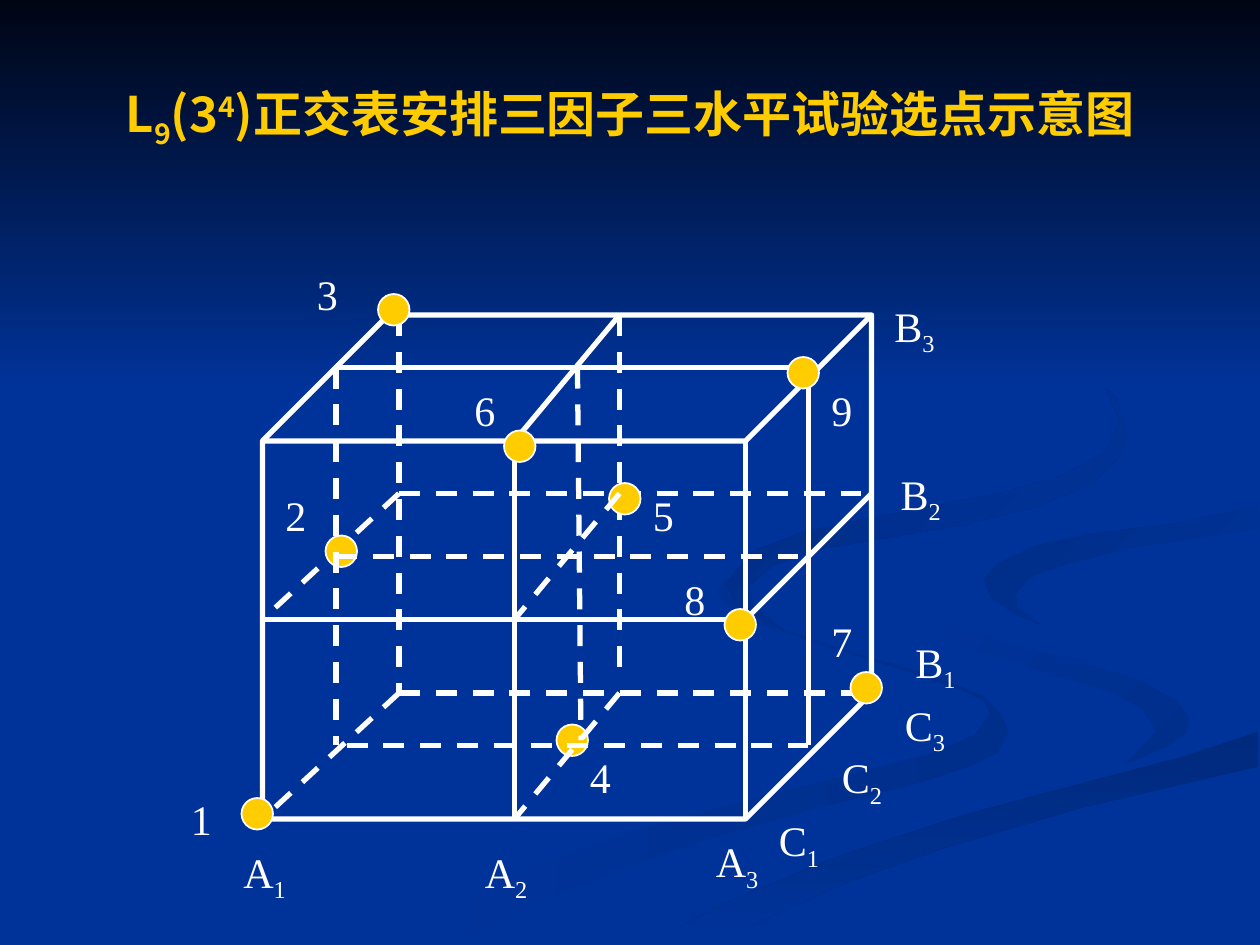
from dataclasses import dataclass

from lxml import etree
from pptx import Presentation
from pptx.dml.color import RGBColor
from pptx.enum.dml import MSO_LINE
from pptx.enum.shapes import MSO_CONNECTOR, MSO_SHAPE
from pptx.enum.text import MSO_ANCHOR, MSO_AUTO_SIZE, PP_ALIGN
from pptx.oxml.ns import qn
from pptx.util import Pt

STRAIGHT = MSO_CONNECTOR.STRAIGHT
CUBE, OVAL = MSO_SHAPE.CUBE, MSO_SHAPE.OVAL
DASH = MSO_LINE.DASH
MIDDLE, CENTER, LEFT = MSO_ANCHOR.MIDDLE, PP_ALIGN.CENTER, PP_ALIGN.LEFT
GROW, FIXED = MSO_AUTO_SIZE.SHAPE_TO_FIT_TEXT, MSO_AUTO_SIZE.NONE


@dataclass(frozen=True)
class Theme:
    """Colours, fonts and sizes of the slide."""
    ground: str = "003399"
    night: str = "000514"
    gold: str = "FFCC00"
    white: str = "FFFFFF"
    title_font: str = "Noto Sans CJK SC"
    label_font: str = "Times New Roman"
    title_size: int = 28
    label_size: int = 24
    edge: int = 3
    outline: int = 1
    dot: int = 18


THEME = Theme()

SKY = [(0, 0), (0, 222), (720, 222), (720, 0)]
LOWER_SWIRL = [
    (562, 398), (536, 387), (491, 374), (451, 361), (428, 349), (417, 341), (414, 330),
    (410, 338), (415, 346), (433, 356), (471, 369), (514, 382), (549, 394), (562, 400),
    (566, 408), (557, 420), (532, 431), (492, 441), (417, 460), (359, 476), (300, 497),
    (243, 523), (216, 539), (260, 539), (310, 514), (359, 495), (406, 479), (469, 461),
    (519, 449), (554, 438), (570, 430), (576, 418), (572, 408)]
RIGHT_SWIRL = [
    (679, 410), (673, 401), (652, 389), (612, 377), (570, 366), (536, 353), (521, 334),
    (528, 351), (552, 369), (603, 386), (634, 395), (653, 405), (661, 418), (644, 436),
    (666, 427), (678, 418)]
BOTTOM_SWIRL = [
    (362, 539), (411, 539), (442, 523), (482, 505), (541, 484), (620, 461), (719, 438),
    (719, 418), (674, 433), (598, 453), (550, 466), (477, 490), (410, 518), (374, 538)]
EDGE_SWIRL = [
    (562, 331), (566, 341), (580, 351), (595, 357), (582, 348), (580, 340), (588, 330),
    (607, 323), (645, 313), (687, 307), (719, 302), (719, 289), (672, 299), (623, 305),
    (591, 312), (570, 322)]
UPPER_SWIRL = [
    (492, 310), (550, 300), (594, 289), (624, 276), (640, 261), (644, 248), (638, 228),
    (622, 210), (591, 188), (549, 168), (580, 183), (609, 201), (631, 220), (640, 241),
    (631, 259), (606, 272), (570, 282), (507, 294), (459, 304), (430, 315), (415, 333),
    (420, 345), (448, 360), (430, 346), (428, 335), (442, 323), (467, 314)]
BACKDROP = [
    (LOWER_SWIRL, THEME.ground, "002E8B", 0),
    (RIGHT_SWIRL, THEME.ground, "002E8B", 45),
    (BOTTOM_SWIRL, "002A7D", THEME.ground, 90),
    (EDGE_SWIRL, "002D86", THEME.ground, 45),
    (UPPER_SWIRL, "002B82", THEME.ground, 45),
    (SKY, THEME.night, THEME.ground, 90)]

FACE_LINES = [
    (294, 252, 294, 468), (192, 210, 462, 210), (462, 210, 462, 426),
    (354, 180, 294, 252), (150, 354, 426, 354), (426, 354, 498, 282)]
BACK_LINES = [
    (228, 180, 228, 396), (228, 396, 498, 396), (228, 396, 150, 468),
    (228, 282, 492, 282), (228, 282, 150, 354), (354, 180, 354, 390)]
INNER_LINES = [
    (192, 210, 192, 426), (198, 426, 462, 426), (354, 396, 294, 468),
    (354, 282, 294, 354), (192, 318, 456, 318), (330, 210, 332, 423)]

TRIALS = [
    ((138, 456), (102, 450)), ((186, 306), (156, 276)), ((216, 168), (174, 150)),
    ((318, 414), (330, 426)), ((348, 276), (366, 276)), ((288, 246), (264, 216)),
    ((486, 384), (468, 348)), ((414, 348), (384, 324)), ((450, 204), (468, 216))]
FACTOR_LEVELS = {
    "A": [(132, 480), (270, 480), (402, 474)],
    "B": [(516, 360), (507.6, 264), (504, 168)],
    "C": [(438, 462), (474, 426), (510, 396)]}
TITLE = [("L", 0), ("9", -25), ("(3", 0), ("4", 30),
         (")正交表安排三因子三水平试验选点示意图", 0)]


def rgb(colour):
    """Return a colour object for a hex string."""
    return RGBColor.from_string(colour)


def write(box, spans, *, size, font, colour, bold=False, align=LEFT, fit=GROW):
    """Write (text, baseline percent) spans as one formatted paragraph."""
    frame = box.text_frame
    frame.word_wrap = True
    frame.auto_size = fit
    para = frame.paragraphs[0]
    para.alignment = align
    para.space_before = Pt(0)
    for text, baseline in spans:
        span = para.add_run()
        span.text = text
        span.font.size = Pt(size)
        span.font.name = font
        span.font.bold = bold
        span.font.color.rgb = rgb(colour)
        properties = span._r.get_or_add_rPr()
        etree.SubElement(properties, qn("a:ea")).set("typeface", font)
        if baseline:
            properties.set("baseline", str(baseline * 1000))


def add_band(page, corners, start, end, angle):
    """Add a closed outline with a two-colour gradient, angle clockwise."""
    builder = page.shapes.build_freeform(*corners[0], scale=Pt(1))
    builder.add_line_segments(corners[1:], close=True)
    band = builder.convert_to_shape()
    band.shadow.inherit = False
    band.line.fill.background()
    band.fill.gradient()
    band.fill.gradient_angle = -angle % 360
    for stop, colour in zip(band.fill.gradient_stops, (start, end)):
        stop.color.rgb = rgb(colour)


def add_edge(page, ends, dash=None):
    """Add a white line between two points."""
    edge = page.shapes.add_connector(STRAIGHT, *map(Pt, ends))
    edge.line.color.rgb = rgb(THEME.white)
    edge.line.width = Pt(THEME.edge)
    if dash:
        edge.line.dash_style = dash
    etree.SubElement(edge._element.spPr, qn("a:effectLst"))


def add_solid(page, kind, place, width, fill=None):
    """Add a white-outlined preset shape, filled or open."""
    solid = page.shapes.add_shape(kind, *map(Pt, place))
    solid.shadow.inherit = False
    solid.line.color.rgb = rgb(THEME.white)
    solid.line.width = Pt(width)
    if fill:
        solid.fill.solid()
        solid.fill.fore_color.rgb = rgb(fill)
    else:
        solid.fill.background()
    return solid


def add_label(page, spot, width, spans):
    """Add a white label at a spot."""
    box = page.shapes.add_textbox(*map(Pt, (*spot, width, 36)))
    write(box, spans, size=THEME.label_size, font=THEME.label_font, colour=THEME.white)


def add_title(page):
    """Bring the title placeholder in front of the backdrop and fill it."""
    title = page.shapes.title
    title._element.getparent().append(title._element)
    title.left, title.top, title.width, title.height = map(Pt, (36, 21.6, 648, 90))
    title.text_frame.vertical_anchor = MIDDLE
    write(title, TITLE, size=THEME.title_size, font=THEME.title_font,
          colour=THEME.gold, bold=True, align=CENTER, fit=FIXED)


def main():
    """Build the slide and save it."""
    deck = Presentation()
    deck.slide_width, deck.slide_height = Pt(720), Pt(540)
    page = deck.slides.add_slide(deck.slide_layouts[5])
    page.background.fill.solid()
    page.background.fill.fore_color.rgb = rgb(THEME.ground)
    for band in BACKDROP:
        add_band(page, *band)
    add_title(page)
    for ends in FACE_LINES:
        add_edge(page, ends)
    cube = add_solid(page, CUBE, (150, 180, 348, 288), THEME.edge)
    cube.adjustments[0] = 0.25
    for ends in BACK_LINES:
        add_edge(page, ends, DASH)
    for dot, _ in TRIALS:
        add_solid(page, OVAL, (*dot, THEME.dot, THEME.dot), THEME.outline, THEME.gold)
    for ends in INNER_LINES:
        add_edge(page, ends, DASH)
    for number, (_, spot) in enumerate(TRIALS, 1):
        add_label(page, spot, 27, [(str(number), 0)])
    for factor, spots in FACTOR_LEVELS.items():
        for level, spot in enumerate(spots, 1):
            add_label(page, spot, 46, [(factor, 0), (str(level), -25)])
    deck.save("out.pptx")


if __name__ == "__main__":
    main()
